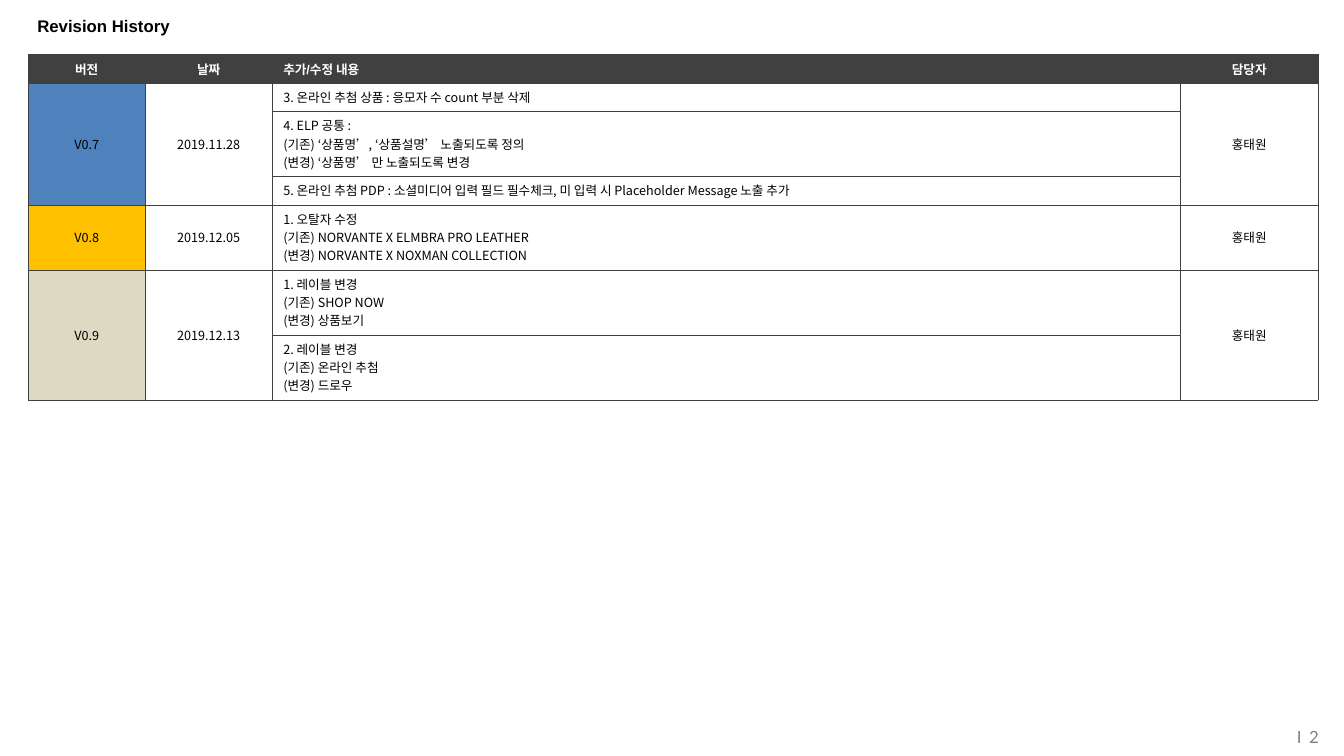
from lxml import etree
from pptx import Presentation, util as u
from pptx.dml.color import RGBColor
from pptx.enum import text
from pptx.oxml import ns

CHARCOAL = RGBColor(0x40, 0x40, 0x40)
GRAY = RGBColor(0x80, 0x80, 0x80)
BLACK = RGBColor(0, 0, 0)
WHITE = RGBColor(0xFF, 0xFF, 0xFF)
BLUE = RGBColor(0x4F, 0x81, 0xBD)
AMBER = RGBColor(0xFF, 0xC0, 0x00)
SAND = RGBColor(0xDD, 0xD9, 0xC3)

HANGUL_FONT = "Noto Sans CJK KR"
COLUMN_WIDTHS = (1.16, 1.26, 9.01, 1.36)
LINE_HEIGHT = 0.18
ROW_PADDING = 0.1
CENTER, LEFT, RIGHT = text.PP_ALIGN.CENTER, text.PP_ALIGN.LEFT, text.PP_ALIGN.RIGHT
ALIGNMENTS = (CENTER, CENTER, LEFT, CENTER)

HEADINGS = ("버전", "날짜", "추가/수정 내용", "담당자")
REVISIONS = (
    ("V0.7", "2019.11.28", "홍태원", BLUE, (
        "3. 온라인 추첨 상품 : 응모자 수 count 부분 삭제",
        "4. ELP 공통 :\n(기존) ‘상품명’, ‘상품설명’ 노출되도록 정의\n(변경) ‘상품명’ 만 노출되도록 변경",
        "5. 온라인 추첨 PDP : 소셜미디어 입력 필드 필수체크, 미 입력 시 Placeholder Message 노출 추가",
    )),
    ("V0.8", "2019.12.05", "홍태원", AMBER, (
        "1. 오탈자 수정\n(기존) NORVANTE X ELMBRA PRO LEATHER\n(변경) NORVANTE X NOXMAN COLLECTION",
    )),
    ("V0.9", "2019.12.13", "홍태원", SAND, (
        "1. 레이블 변경\n(기존) SHOP NOW\n(변경) 상품보기",
        "2. 레이블 변경\n(기존) 온라인 추첨\n(변경) 드로우",
    )),
)


def style_run(run, font, size, color, bold=False):
    run.font.name = font
    run.font.size = u.Pt(size)
    run.font.color.rgb = color
    run.font.bold = bold
    east_asian = etree.SubElement(run.font._element, ns.qn("a:ea"))
    east_asian.set("typeface", HANGUL_FONT)


def add_borders(cell):
    properties = cell._tc.get_or_add_tcPr()
    for side in ("a:lnL", "a:lnR", "a:lnT", "a:lnB"):
        border = etree.SubElement(properties, ns.qn(side), w=str(u.Pt(0.25)))
        fill = etree.SubElement(border, ns.qn("a:solidFill"))
        etree.SubElement(fill, ns.qn("a:srgbClr"), val=str(CHARCOAL))


def fill_cell(cell, words, alignment, font, color, bold=False):
    cell.text_frame.text = words
    for paragraph in cell.text_frame.paragraphs:
        paragraph.alignment = alignment
        for run in paragraph.runs:
            style_run(run, font, 9, color, bold)


def add_title(slide, left, top, width, height):
    title = slide.shapes.title
    title.left, title.top, title.width, title.height = map(u.Inches, (left, top, width, height))
    title.text_frame.text = "Revision History"
    title.text_frame.vertical_anchor = text.MSO_ANCHOR.MIDDLE
    heading = title.text_frame.paragraphs[0]
    heading.alignment = LEFT
    style_run(heading.runs[0], "Arial", 12, BLACK, True)


def add_history(slide, left, top, width):
    changes = [change for revision in REVISIONS for change in revision[-1]]
    heights = [ROW_PADDING + LINE_HEIGHT * len(words.split("\n")) for words in ("", *changes)]
    history = slide.shapes.add_table(
        len(heights), len(COLUMN_WIDTHS),
        *map(u.Inches, (left, top, width, sum(heights)))).table
    history.horz_banding = False
    for column, share in zip(history.columns, COLUMN_WIDTHS):
        column.width = u.Inches(width * share / sum(COLUMN_WIDTHS))
    for row, height in zip(history.rows, heights):
        row.height = u.Inches(height)

    for cell in history.iter_cells():
        add_borders(cell)
        cell.fill.background()
        cell.vertical_anchor = text.MSO_ANCHOR.MIDDLE
        cell.margin_left = cell.margin_right = u.Inches(0.11)

    for column, heading in enumerate(HEADINGS):
        cell = history.cell(0, column)
        fill_cell(cell, heading, ALIGNMENTS[column], "Arial", WHITE, True)
        cell.fill.solid()
        cell.fill.fore_color.rgb = CHARCOAL

    first = 1
    for version, date, owner, color, changes in REVISIONS:
        last = first + len(changes) - 1
        for column, words in ((0, version), (1, date), (3, owner)):
            cell = history.cell(first, column)
            if last > first:
                cell.merge(history.cell(last, column))
            fill_cell(cell, words, ALIGNMENTS[column], HANGUL_FONT, BLACK)
        version_cell = history.cell(first, 0)
        version_cell.fill.solid()
        version_cell.fill.fore_color.rgb = color
        for row, change in enumerate(changes, first):
            fill_cell(history.cell(row, 2), change, ALIGNMENTS[2], HANGUL_FONT, BLACK)
        first = last + 1


def add_page_number(slide, left, top, width, height):
    page_number = slide.shapes.add_textbox(*map(u.Inches, (left, top, width, height)))
    frame = page_number.text_frame
    frame.word_wrap = True
    frame.vertical_anchor = text.MSO_ANCHOR.MIDDLE
    frame.margin_left = frame.margin_right = frame.margin_top = frame.margin_bottom = 0
    frame.paragraphs[0].alignment = RIGHT
    for words, spacing in (("I ", 115), ("2", 0)):
        run = frame.paragraphs[0].add_run()
        run.text = words
        style_run(run, "Lato", 12, GRAY)
        run.font._element.set("spc", str(spacing))


def main():
    presentation = Presentation()
    presentation.slide_width = u.Inches(13.33)
    presentation.slide_height = u.Inches(7.5)
    slide = presentation.slides.add_slide(presentation.slide_layouts[5])
    add_history(slide, 0.28, 0.54, 12.79)
    add_title(slide, 0.27, 0.07, 12.79, 0.38)
    add_page_number(slide, 11.15, 7.11, 1.93, 0.39)
    presentation.save("out.pptx")


if __name__ == "__main__":
    main()
